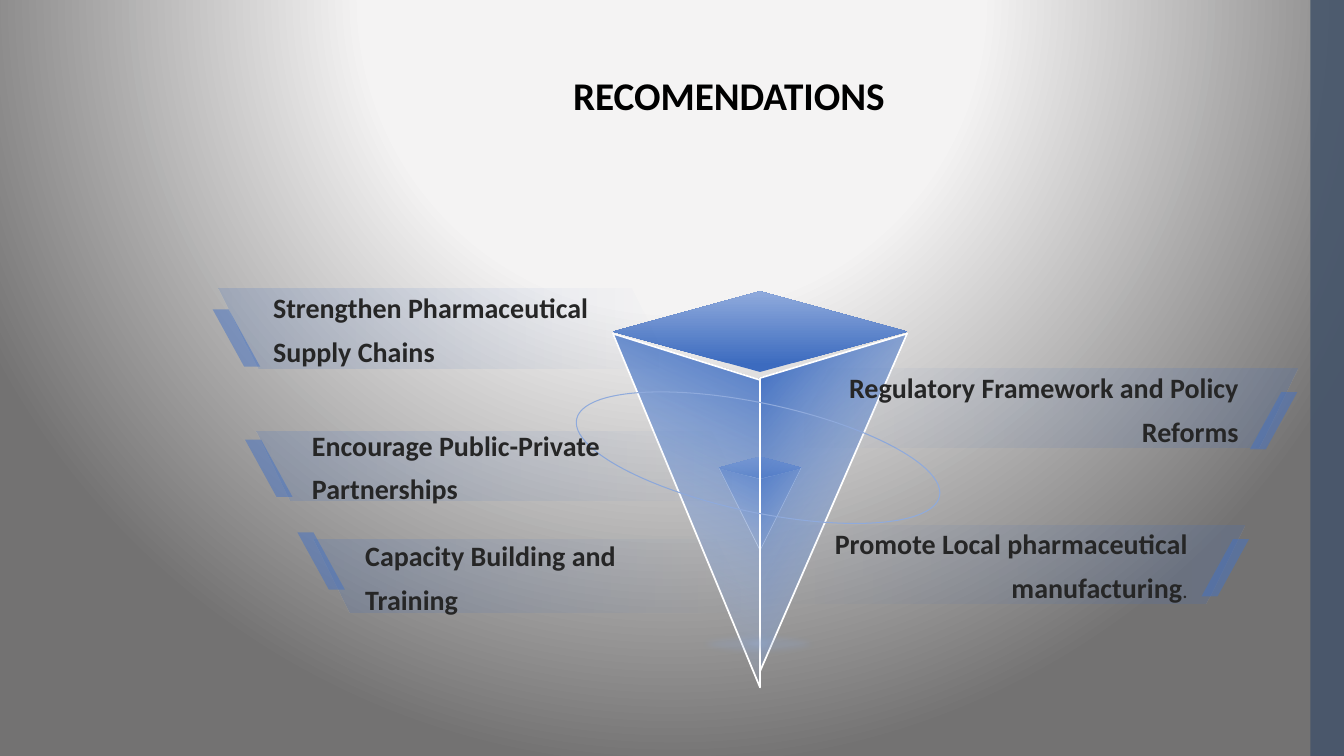
"""Builds the recommendations slide with its inverted pyramid and banners."""
from lxml import etree
from pptx import Presentation
from pptx.dml import color as col
from pptx.enum import shapes as sh, text as tx
from pptx.oxml import ns
from pptx.util import Pt

HUE = {"blue": "4472C4", "mid": "557FC9", "deep": "3C6BBF", "pale": "8FAADC",
       "ice": "B4C7E7", "mist": "A2B8E1", "slate": "44546A", "ink": "262626",
       "black": "000000", "white": "FFFFFF", "glow": "F6F5F5",
       "fog": "F4F3F3", "dusk": "737272"}
KIND = sh.MSO_SHAPE
LEFT, MID, RIGHT = tx.PP_ALIGN.LEFT, tx.PP_ALIGN.CENTER, tx.PP_ALIGN.RIGHT


def rgb(name):
    """Return the named colour."""
    return col.RGBColor.from_string(HUE[name])


def add(node, tag, **attrs):
    """Append a drawing element with its attributes."""
    return etree.SubElement(node, ns.qn("a:" + tag),
                            {k: str(v) for k, v in attrs.items()})


def fade(node, alpha):
    """Give a colour element an opacity in percent."""
    if alpha < 100:
        add(node, "alpha", val=alpha * 1000)


def blend(props, stops, angle=None):
    """Swap the solid fill for a linear or, without an angle, round gradient."""
    grad = etree.Element(ns.qn("a:gradFill"), rotWithShape="1")
    row = add(grad, "gsLst")
    for pos, name, alpha in stops:
        stop = add(row, "gs", pos=pos * 1000)
        fade(add(stop, "srgbClr", val=HUE[name]), alpha)
    if angle is None:
        ring = add(grad, "path", path="circle")
        add(ring, "fillToRect", l=50000, t=-80000, r=50000, b=180000)
    else:
        add(grad, "lin", ang=angle * 60000, scaled=0)
    props.replace(props.find(ns.qn("a:solidFill")), grad)


def style(shape, fill=None, alpha=100, stops=None, angle=0, line=None, width=1):
    """Set the fill and outline of a shape and drop its shadow."""
    shape.shadow.inherit = False
    if line:
        shape.line.color.rgb = rgb(line)
        shape.line.width = Pt(width)
    else:
        shape.line.fill.background()
    if not (fill or stops):
        shape.fill.background()
        return shape
    shape.fill.solid()
    shape.fill.fore_color.rgb = rgb(fill or "blue")
    props = shape.element.spPr
    if stops:
        blend(props, stops, angle)
    else:
        fade(props.find(ns.qn("a:solidFill"))[0], alpha)
    return shape


def draw(slide, kind, box, flip=False, adj=None, **look):
    """Add a preset shape in the given box."""
    shape = slide.shapes.add_shape(kind, *map(Pt, box))
    if adj is not None:
        shape.adjustments[0] = adj
    if flip:
        shape.element.spPr.find(ns.qn("a:xfrm")).set("flipH", "1")
    return style(shape, **look)


def write(frame, text, size=20, color="ink", bold=True, align=LEFT,
          space=None, anchor=tx.MSO_ANCHOR.MIDDLE, pads=(0, 0, 0, 5.8)):
    """Add a run to the frame's paragraph and format both."""
    frame.word_wrap = True
    frame.vertical_anchor = anchor
    (frame.margin_left, frame.margin_top,
     frame.margin_right, frame.margin_bottom) = map(Pt, pads)
    para = frame.paragraphs[0]
    para.alignment = align
    if space:
        para.line_spacing = space
    run = para.add_run()
    run.text = text
    run.font.name = "Calibri"
    run.font.size = Pt(size)
    run.font.bold = bold
    run.font.color.rgb = rgb(color)


def stage(slide):
    """Paint the backdrop and the side strip."""
    slide.background.fill.solid()
    props = slide.element.find(".//" + ns.qn("p:bgPr"))
    blend(props, [(0, "glow", 100), (40, "fog", 100), (100, "dusk", 100)])
    draw(slide, KIND.RECTANGLE, (936, 0, 24, 540), fill="slate", alpha=87)


def title(slide, box, text):
    """Place the heading at the foot of its box."""
    frame = slide.shapes.add_textbox(*map(Pt, box)).text_frame
    write(frame, text, size=28, color="black", align=MID,
          anchor=tx.MSO_ANCHOR.BOTTOM, pads=(45, 3.6, 45, 3.6))


def prism(slide, box, rim, folds, tips, width):
    """Draw an upturned pyramid: two faces below the lid given by the box."""
    x, y, w, h = box
    sides = ((x, "mid", 115), (x + w, "blue", 40))
    for (edge, tint, angle), fold, tip in zip(sides, folds, tips):
        mid = x + w / 2
        path = slide.shapes.build_freeform(Pt(mid), Pt(y + fold))
        path.add_line_segments([(Pt(mid), Pt(y + tip)), (Pt(edge), Pt(y + rim))])
        style(path.convert_to_shape(), angle=angle, line="white", width=width,
              stops=[(7, tint, 100), (100, "ice", 0)])
    draw(slide, KIND.FLOWCHART_DECISION, box, angle=270,
         stops=[(9, "deep", 100), (100, "pale", 100)])


def halo(slide, box):
    """Draw the tilted ring and the soft glow under the pyramid."""
    x, y, w, h = box
    draw(slide, KIND.OVAL, box, line="pale", width=0.75).rotation = 12
    spots = ((94.3, 17.3, "pale", 20), (37.4, 10.1, "mist", 50))
    for wide, high, tint, alpha in spots:
        spot = draw(slide, KIND.OVAL,
                    (x + (w - wide) / 2, y + 172 - high / 2, wide, high),
                    fill=tint, alpha=alpha)
        glow = spot.element.spPr.find(ns.qn("a:effectLst"))
        add(glow, "softEdge", rad=Pt(4))


def banner(slide, box, tab, text, left, tail=""):
    """Draw a slanted, fading banner with its text and its end tab."""
    x, y, w, h = box
    ends = [(0, "blue", 0), (100, "blue", 20)]
    if left:
        ends = [(0, "blue", 20), (100, "blue", 0)]
    bar = draw(slide, KIND.PARALLELOGRAM, box, flip=left, adj=0.496,
               stops=ends, angle=180 if left else 0)
    align = LEFT if left else RIGHT
    write(bar.text_frame, text, align=align, space=1.3)
    if tail:
        write(bar.text_frame, tail, size=15, bold=False, align=align, space=1.3)
    dx, dy = tab
    start = x if left else x + w - 34
    draw(slide, KIND.PARALLELOGRAM, (start + dx, y + dy, 34, 41), flip=left,
         adj=0.663, fill="blue", alpha=50)


def main():
    """Build and save the slide."""
    deck = Presentation()
    deck.slide_width, deck.slide_height = Pt(960), Pt(540)
    slide = deck.slides.add_slide(deck.slide_layouts[6])
    stage(slide)
    prism(slide, (513.4, 326.2, 59, 15.8), 7.9, (15.8, 15.8), (66.9, 66.9), 0.5)
    prism(slide, (437.8, 208.1, 210.2, 57.6), 30.2, (63.3, 61.9),
          (282.9, 271.4), 1.25)
    halo(slide, (409, 288, 265, 77.8))
    banner(slide, (537.8, 375.1, 351.4, 56.2), (3, 10),
           "Promote Local pharmaceutical manufacturing", False, ".")
    banner(slide, (563.8, 263.5, 362.9, 56.2), (0, 16.6),
           "Regulatory Framework and Policy Reforms", False)
    banner(slide, (223.9, 385.2, 313.9, 52.6), (-11.5, -5),
           "Capacity Building and Training", True)
    banner(slide, (183.6, 308.2, 349.2, 49), (-8.6, 5.8),
           "Encourage Public-Private Partnerships", True)
    banner(slide, (156.2, 205.9, 323.3, 57.6), (-4.3, 15.1),
           "Strengthen Pharmaceutical Supply Chains", True)
    title(slide, (323.3, 33.1, 394.6, 55.1), "RECOMENDATIONS")
    deck.save("out.pptx")


if __name__ == "__main__":
    main()
